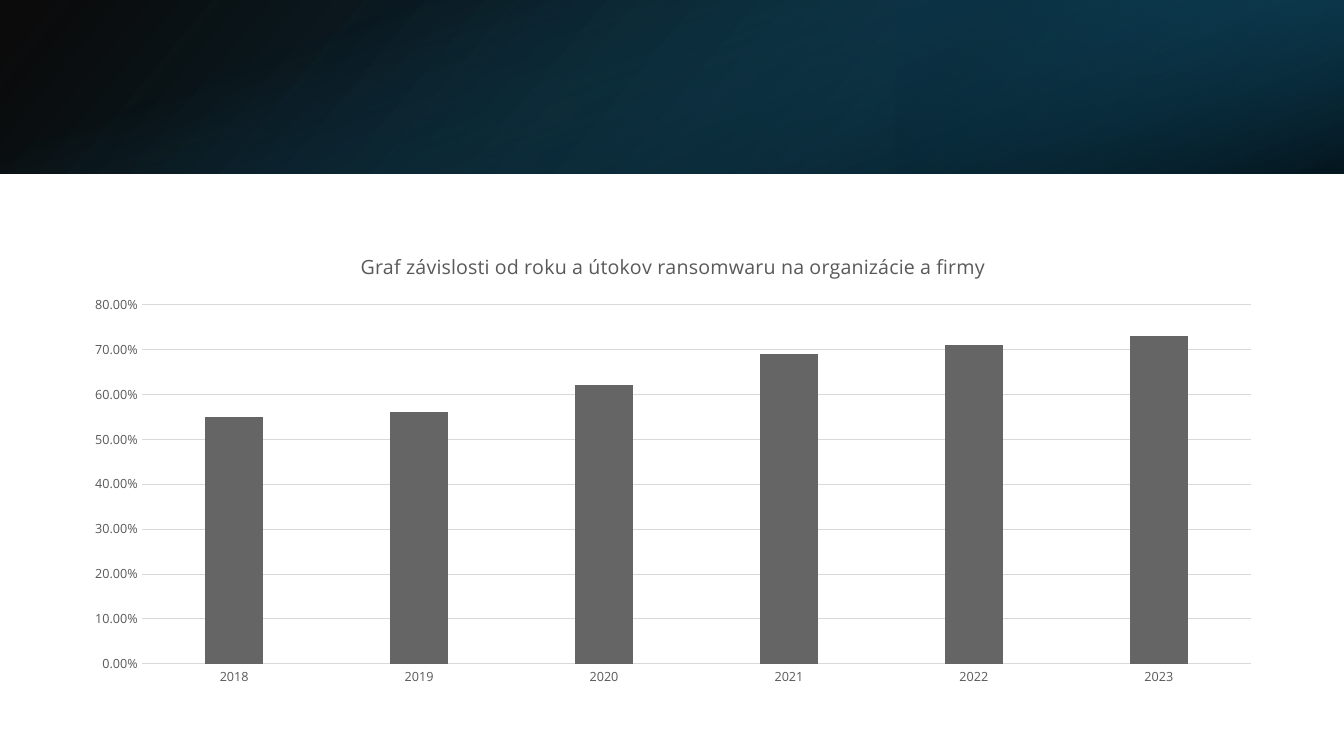
from lxml import etree
from pptx import Presentation
from pptx import util as u
from pptx.chart.data import CategoryChartData
from pptx.dml.color import RGBColor
from pptx.enum import chart as charts, shapes
from pptx.oxml import ns

COLORS = {
    "black": "000000", "teal": "104862", "navy": "0B3041", "accent": "156082",
    "white": "FFFFFF", "bar": "656565", "label": "595959", "grid": "D9D9D9",
}
FONT = "Open Sans"
TITLE = "Graf závislosti od roku a útokov ransomwaru na organizácie a firmy"
ATTACKS = {"2018": 0.55, "2019": 0.56, "2020": 0.62,
           "2021": 0.69, "2022": 0.71, "2023": 0.73}


def rgb(name):
    return RGBColor.from_string(COLORS[name])


def style_font(font, size, color):
    font.name = FONT
    font.size = u.Pt(size)
    font.bold = False
    font.color.rgb = rgb(color)


def write_text(frame, text, size=14, color="label"):
    para = frame.paragraphs[0]
    span = para.add_run()
    span.text = text
    style_font(span.font, size, color)


def add_gradient(page, box, stops, angle, rotation=0, flip=False):
    shape = page.shapes.add_shape(shapes.MSO_SHAPE.RECTANGLE, *map(u.Pt, box))
    shape.shadow.inherit = False
    shape.line.fill.background()
    shape.rotation = rotation
    properties = shape.element.spPr
    if flip:
        properties.find(ns.qn("a:xfrm")).set("flipH", "1")
    gradient = etree.Element(ns.qn("a:gradFill"), rotWithShape="1")
    stop_list = etree.SubElement(gradient, ns.qn("a:gsLst"))
    for position, color, opacity in stops:
        stop = etree.SubElement(stop_list, ns.qn("a:gs"), pos=str(position * 1000))
        tint = etree.SubElement(stop, ns.qn("a:srgbClr"), val=COLORS[color])
        etree.SubElement(tint, ns.qn("a:alpha"), val=str(opacity * 1000))
    etree.SubElement(gradient, ns.qn("a:lin"), ang=str(angle * 60000), scaled="0")
    properties.find(ns.qn("a:prstGeom")).addnext(gradient)


def add_banner(page, left, top, width, height):
    add_gradient(page, (left, top, width, height),
                 [(0, "black", 96), (100, "teal", 100)], 140, flip=True)
    add_gradient(page, (left + width * 2 / 3, top, width / 3, height),
                 [(19, "navy", 68), (100, "accent", 79)], 320, rotation=180, flip=True)
    inset = (width - height) / 2
    add_gradient(page, (left + inset, top - inset, height, width),
                 [(23, "accent", 0), (99, "black", 74)], 340, rotation=90)


def add_attack_chart(page, left, top, width, height):
    data = CategoryChartData(number_format="0.00%")
    data.categories = list(ATTACKS)
    data.add_series(TITLE, list(ATTACKS.values()))
    chart = page.shapes.add_chart(charts.XL_CHART_TYPE.COLUMN_CLUSTERED,
                                  *map(u.Pt, (left, top, width, height)), data).chart
    style_font(chart.font, 10, "black")
    chart.has_legend = False
    chart.has_title = True
    write_text(chart.chart_title.text_frame, TITLE)
    chart.chart_title.include_in_layout = False

    plot = chart.plots[0]
    plot.gap_width = 219
    plot.overlap = -27
    plot.vary_by_categories = False
    bars = plot.series[0].format.fill
    bars.solid()
    bars.fore_color.rgb = rgb("bar")

    years, shares = chart.category_axis, chart.value_axis
    for axis in (years, shares):
        axis.major_tick_mark = charts.XL_TICK_MARK.NONE
        axis.minor_tick_mark = charts.XL_TICK_MARK.NONE
        style_font(axis.tick_labels.font, 9, "label")
    shares.minimum_scale = 0
    shares.maximum_scale = 0.8
    shares.major_unit = 0.1
    shares.tick_labels.number_format = "0.00%"
    shares.tick_labels.number_format_is_linked = False
    shares.format.line.fill.background()
    shares.has_major_gridlines = True
    for line in (years.format.line, shares.major_gridlines.format.line):
        line.color.rgb = rgb("grid")
        line.width = u.Pt(0.75)


def main():
    deck = Presentation()
    deck.slide_width, deck.slide_height = u.Pt(960), u.Pt(540)
    page = deck.slides.add_slide(deck.slide_layouts[6])
    page.background.fill.solid()
    page.background.fill.fore_color.rgb = rgb("white")
    add_banner(page, 0, 0, 960, 124)
    add_attack_chart(page, 50.8, 166.2, 860.2, 330.3)
    deck.save("out.pptx")


if __name__ == "__main__":
    main()
